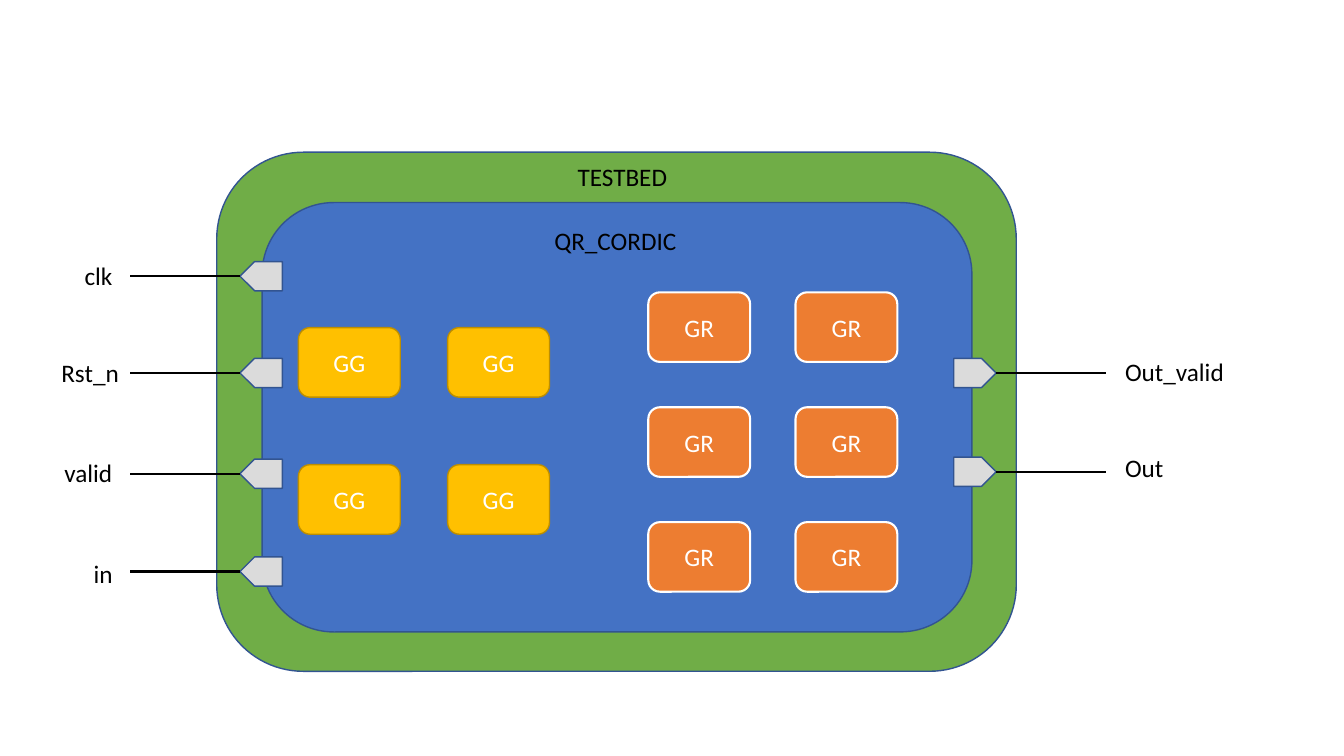
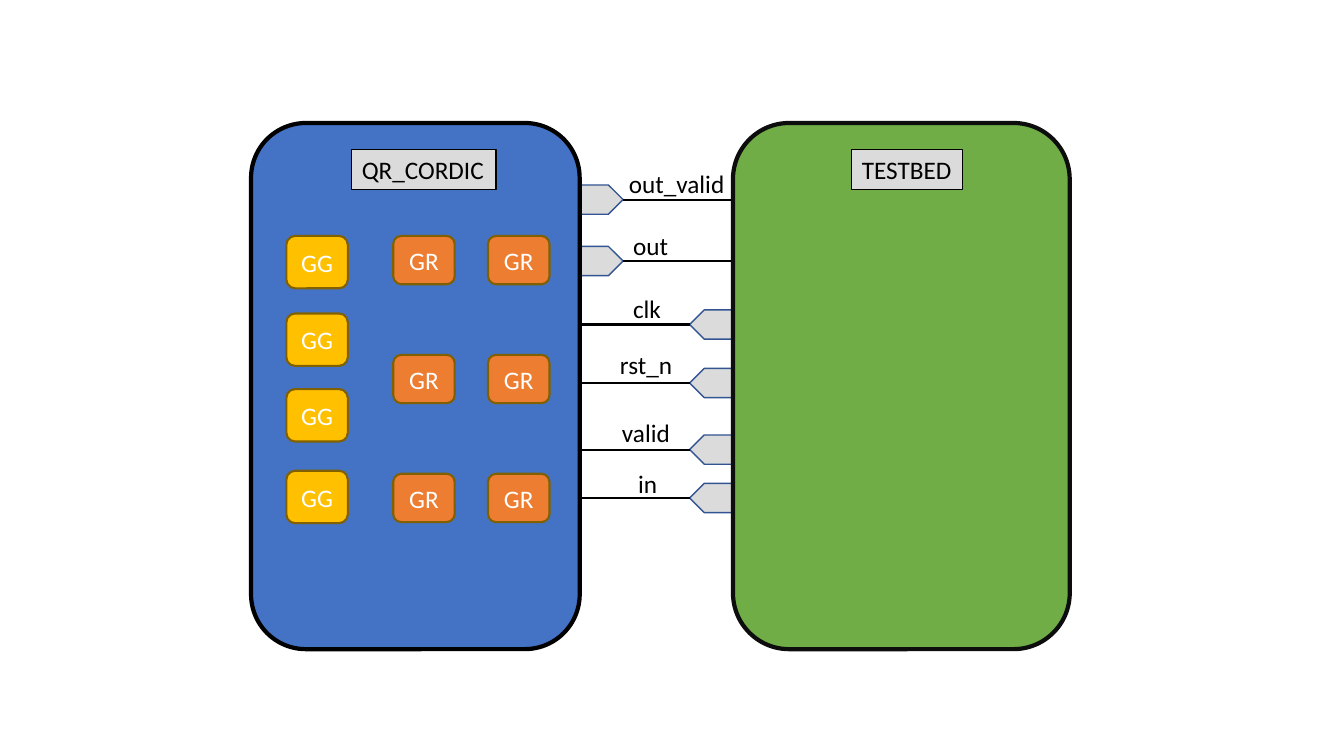
"""Builds two block diagrams of the QR_CORDIC design and its TESTBED."""
from itertools import product

from lxml import etree
from pptx import Presentation, util as u
from pptx.dml import color
from pptx.enum import shapes, text
from pptx.oxml import ns

COLORS = {
    "design": "4472C4", "testbed": "70AD47", "gg": "FFC000", "gr": "ED7D31",
    "port": "DBDBDB", "edge": "325491", "gold_edge": "BD8E00",
    "brown_edge": "806000", "soft_black": "0D0D0D", "black": "000000",
    "white": "FFFFFF",
}
FONT, FONT_SIZE = "Calibri", 18
LABEL_HEIGHT = 0.4
PORT_WIDTH, PORT_HEIGHT = 0.42, 0.29
WIRE_LENGTH = 1.09

# Blocks: left, top, width, height, fill, edge, edge width
# Grids: text, columns, rows, cell size, fill, edge, edge width
# Titles: text, left, top, width
# Ports: tip, direction, then signals as label, left, top, width, wire height
NESTED = {
    "blocks": [
        (2.15, 1.51, 7.93, 5.15, "testbed", "edge", 1),
        (2.6, 2.01, 7.04, 4.26, "design", "edge", 1),
    ],
    "grids": [
        ("GG", (2.96, 4.44), (3.25, 4.61), (1.01, 0.69), "gg", "gold_edge", 1),
        ("GR", (6.43, 7.89), (2.9, 4.04, 5.18), (1.01, 0.69), "gr", "white", 1.5),
    ],
    "titles": [("QR_CORDIC", 5.4, 2.19, 1.43), ("TESTBED", 5.63, 1.55, 1.1)],
    "framed": False,
    "ports": [
        (2.38, -1, [
            ("clk", 0.74, 2.53, 0.48, 2.74),
            ("Rst_n", 0.51, 3.5, 0.78, 3.7),
            ("valid", 0.54, 4.49, 0.68, 4.7),
            ("in", 0.83, 5.49, 0.39, 5.67),
        ]),
        (9.88, 1, [
            ("Out_valid", 11.06, 3.49, 1.19, 3.7),
            ("Out", 11.06, 4.44, 0.59, 4.68),
        ]),
    ],
}
SIDE_BY_SIDE = {
    "blocks": [
        (2.49, 1.22, 3.26, 5.22, "design", "black", 3),
        (7.27, 1.22, 3.34, 5.22, "testbed", "soft_black", 3),
    ],
    "grids": [
        ("GG", (2.84,), (2.34, 3.11, 3.86, 4.67), (0.61, 0.52),
         "gg", "brown_edge", 1.5),
        ("GR", (3.9, 4.84), (2.34, 3.52, 4.7), (0.61, 0.48),
         "gr", "brown_edge", 1.5),
    ],
    "titles": [("QR_CORDIC", 3.49, 1.48, 1.43), ("TESTBED", 8.45, 1.48, 1.1)],
    "framed": True,
    "ports": [
        (6.84, -1, [
            ("clk", 6.18, 2.86, 0.48, 3.22),
            ("rst_n", 6.05, 3.42, 0.72, 3.8),
            ("valid", 6.07, 4.09, 0.68, 4.46),
            ("in", 6.23, 4.6, 0.39, 4.94),
        ]),
        (6.18, 1, [
            ("out_valid", 6.14, 1.62, 1.16, 1.98),
            ("out", 6.18, 2.24, 0.55, 2.59),
        ]),
    ],
}


def rgb(name):
    return color.RGBColor.from_string(COLORS[name])


def paint(shape, fill, edge, width):
    shape.shadow.inherit = False
    shape.fill.solid()
    shape.fill.fore_color.rgb = rgb(fill)
    shape.line.color.rgb = rgb(edge)
    shape.line.width = u.Pt(width)


def write(shape, words, ink, align):
    shape.text_frame.text = words
    para = shape.text_frame.paragraphs[0]
    para.alignment = align
    font = para.runs[0].font
    font.name, font.size, font.color.rgb = FONT, u.Pt(FONT_SIZE), rgb(ink)


def add_block(page, left, top, width, height, fill, edge, edge_width):
    block = page.shapes.add_shape(
        shapes.MSO_SHAPE.ROUNDED_RECTANGLE,
        *map(u.Inches, (left, top, width, height)))
    paint(block, fill, edge, edge_width)
    return block


def add_grid(page, words, columns, rows, size, fill, edge, edge_width):
    for left, top in product(columns, rows):
        cell = add_block(page, left, top, *size, fill, edge, edge_width)
        cell.text_frame.vertical_anchor = text.MSO_ANCHOR.MIDDLE
        write(cell, words, "white", text.PP_ALIGN.CENTER)


def add_label(page, words, left, top, width, framed=False):
    box = page.shapes.add_textbox(*map(u.Inches, (left, top, width, LABEL_HEIGHT)))
    box.text_frame.word_wrap = False
    box.text_frame.auto_size = text.MSO_AUTO_SIZE.SHAPE_TO_FIT_TEXT
    write(box, words, "black", text.PP_ALIGN.LEFT)
    if framed:
        paint(box, "port", "black", 0.75)


def add_port(page, tip, direction, wire_y):
    left = tip - PORT_WIDTH if direction > 0 else tip
    port = page.shapes.add_shape(
        shapes.MSO_SHAPE.PENTAGON,
        *map(u.Inches, (left, wire_y - PORT_HEIGHT / 2, PORT_WIDTH, PORT_HEIGHT)))
    port.rotation = 0 if direction > 0 else 180
    paint(port, "port", "edge", 1)

    wire = page.shapes.add_connector(
        shapes.MSO_CONNECTOR.STRAIGHT,
        *map(u.Inches, (tip, wire_y, tip + direction * WIRE_LENGTH, wire_y)))
    wire.line.color.rgb = rgb("black")
    wire.line.width = u.Pt(1.5)
    etree.SubElement(wire._element.spPr, ns.qn("a:effectLst"))


def add_ports(page, ports):
    for tip, direction, signals in ports:
        for words, left, top, width, wire_y in signals:
            add_port(page, tip, direction, wire_y)
            add_label(page, words, left, top, width)


def add_blocks(page, diagram):
    for block in diagram["blocks"]:
        add_block(page, *block)
    for grid in diagram["grids"]:
        add_grid(page, *grid)
    for title in diagram["titles"]:
        add_label(page, *title, framed=diagram["framed"])


def main():
    deck = Presentation()
    deck.slide_width, deck.slide_height = u.Inches(13.33), u.Inches(7.5)
    blank = deck.slide_layouts[6]

    nested = deck.slides.add_slide(blank)
    add_blocks(nested, NESTED)
    add_ports(nested, NESTED["ports"])

    side_by_side = deck.slides.add_slide(blank)
    add_ports(side_by_side, SIDE_BY_SIDE["ports"])
    add_blocks(side_by_side, SIDE_BY_SIDE)

    deck.save("out.pptx")


if __name__ == "__main__":
    main()
